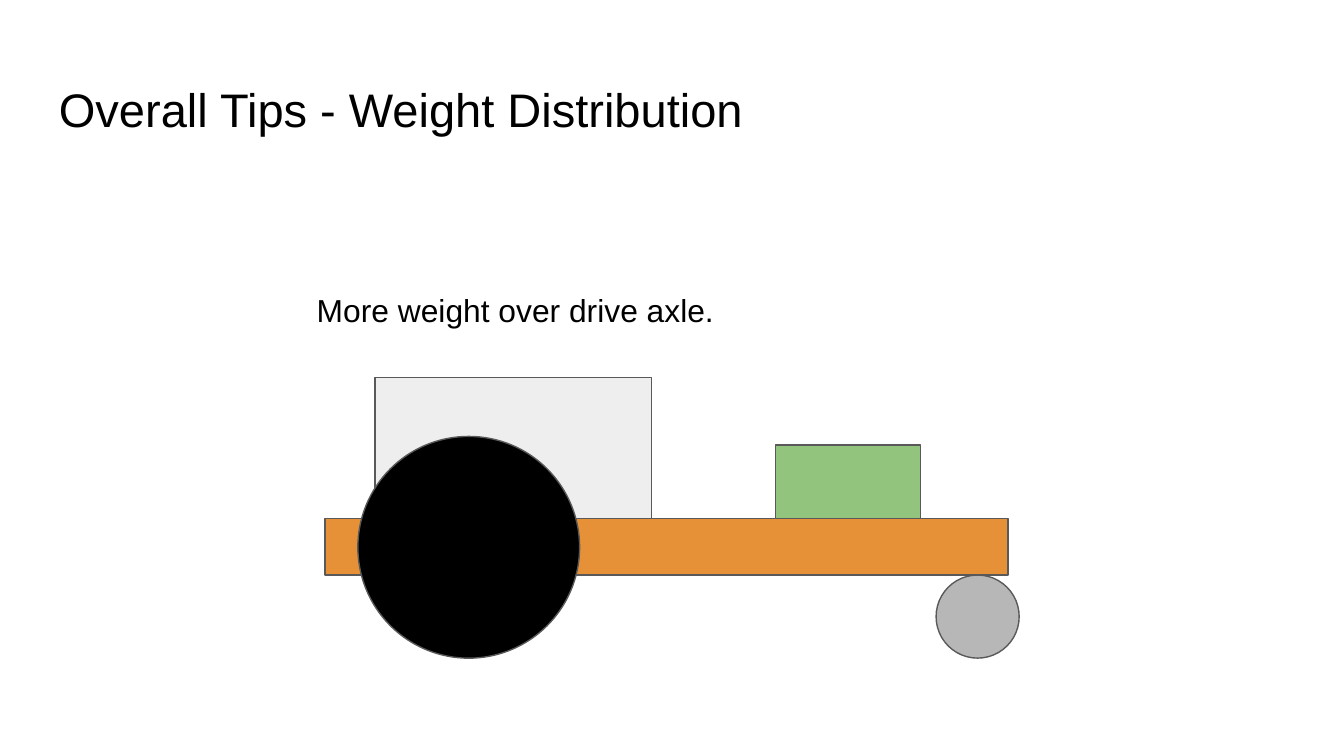
from dataclasses import dataclass

import pptx
import pptx.dml.color
import pptx.enum.shapes
import pptx.enum.text
import pptx.util

Pt = pptx.util.Pt
Shape = pptx.enum.shapes.MSO_SHAPE
Align = pptx.enum.text.PP_ALIGN


@dataclass(frozen=True)
class Theme:
    font: str = "Arial"
    title_size: float = 25.2
    caption_size: float = 17
    text: str = "000000"
    outline: str = "595959"
    chassis: str = "E69138"
    body: str = "EEEEEE"
    drive_wheel: str = "000000"
    caster: str = "B7B7B7"
    load: str = "93C47D"


THEME = Theme()


def color(code):
    return pptx.dml.color.RGBColor.from_string(code)


def add_part(page, kind, left, top, width, height, fill):
    part = page.shapes.add_shape(kind, Pt(left), Pt(top), Pt(width), Pt(height))
    part.shadow.inherit = False
    part.fill.solid()
    part.fill.fore_color.rgb = color(fill)
    part.line.color.rgb = color(THEME.outline)
    part.line.width = Pt(0.75)


def add_text(page, text, left, top, width, height, size, align):
    box = page.shapes.add_textbox(Pt(left), Pt(top), Pt(width), Pt(height))
    frame = box.text_frame
    frame.word_wrap = True
    frame.vertical_anchor = pptx.enum.text.MSO_ANCHOR.BOTTOM
    frame.margin_left = frame.margin_right = Pt(7.2)
    frame.margin_top = frame.margin_bottom = Pt(7.2)
    frame.text = text
    para = frame.paragraphs[0]
    para.alignment = align
    font = para.runs[0].font
    font.name = THEME.font
    font.size = Pt(size)
    font.color.rgb = color(THEME.text)


def add_vehicle(page):
    """Stand the loads on the chassis and both wheels on the same ground."""
    deck_top, deck_height, ground = 277.9, 30.2, 352.6
    deck_bottom = deck_top + deck_height
    body_height, load_height = 75.6, 39.6
    drive_size, caster_size = 118.8, ground - deck_bottom

    add_part(page, Shape.RECTANGLE, 174.2, deck_top, 365.8, deck_height, THEME.chassis)
    add_part(page, Shape.RECTANGLE, 200.9, deck_top - body_height, 148.3, body_height, THEME.body)
    add_part(page, Shape.OVAL, 191.7, ground - drive_size, drive_size, drive_size, THEME.drive_wheel)
    add_part(page, Shape.OVAL, 501.5, deck_bottom, caster_size, caster_size, THEME.caster)
    add_part(page, Shape.RECTANGLE, 415.3, deck_top - load_height, 77.8, load_height, THEME.load)


def main():
    deck = pptx.Presentation()
    deck.slide_width, deck.slide_height = Pt(720), Pt(405)
    page = deck.slides.add_slide(deck.slide_layouts[6])

    add_text(page, "Overall Tips - Weight Distribution",
             24.5, 35.3, 671, 45.4, THEME.title_size, Align.LEFT)
    add_vehicle(page)
    add_text(page, "More weight over drive axle.",
             160.6, 148.3, 231.1, 35.3, THEME.caption_size, Align.CENTER)
    deck.save("out.pptx")


if __name__ == "__main__":
    main()
